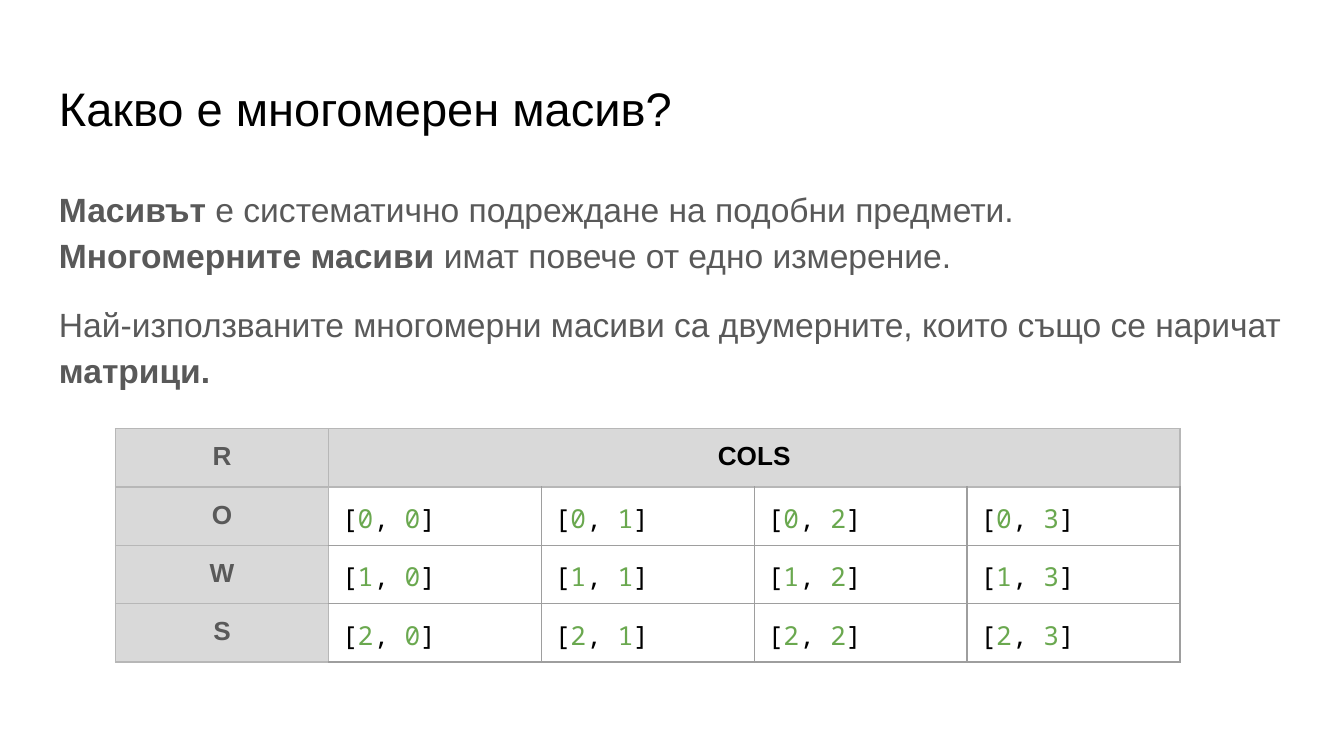
"""Build a slide that explains multidimensional arrays with a matrix of indices."""
from lxml import etree
from pptx import Presentation
from pptx.dml.color import RGBColor
from pptx.enum.text import PP_ALIGN
from pptx.oxml.ns import qn
from pptx.util import Inches, Pt

CENTER = PP_ALIGN.CENTER
SANS, MONO = "Arial", "Noto Sans Mono"
COLORS = {"black": "000000", "gray": "595959", "green": "6AA84F",
          "header": "D9D9D9", "header_line": "B7B7B7", "line": "9E9E9E"}

TITLE = "Какво е многомерен масив?"
BODY = [
    [[("Масивът", True), (" е систематично подреждане на подобни предмети.", False)],
     [("Многомерните масиви", True), (" имат повече от едно измерение.", False)]],
    [[("Най-използваните многомерни масиви са двумерните, които също се наричат ", False),
      ("матрици.", True)]],
]
ROW_LABELS = "ROWS"
COLUMN_LABEL = "COLS"
COLUMN_COUNT = 4

LEFT, WIDTH = 0.34, 9.32
TABLE_LEFT, TABLE_TOP, TABLE_WIDTH = 0.86, 3.19, 7.92
FRAME_SIDE = 3.28
ROW_HEIGHT = 0.42
MARGIN = 0.1


def add_span(para, text, size, color, font=SANS, bold=False):
    span = para.add_run()
    span.text = text
    span.font.size = Pt(size)
    span.font.name = font
    span.font.bold = bold
    span.font.color.rgb = RGBColor.from_string(COLORS[color])


def set_margins(target):
    for side in ("left", "top", "right", "bottom"):
        setattr(target, f"margin_{side}", Inches(MARGIN))


def add_text_frame(page, top, height):
    box = page.shapes.add_textbox(Inches(LEFT), Inches(top), Inches(WIDTH), Inches(height))
    frame = box.text_frame
    frame.word_wrap = True
    set_margins(frame)
    return frame


def set_borders(cell, colors):
    properties = cell._tc.get_or_add_tcPr()
    for side, color in zip("LRTB", colors):
        line = etree.SubElement(properties, qn(f"a:ln{side}"), w=str(Pt(0.75)))
        fill = etree.SubElement(line, qn("a:solidFill"))
        etree.SubElement(fill, qn("a:srgbClr"), val=COLORS[color])


def add_body(page):
    frame = add_text_frame(page, 1.26, 3.74)
    for index, lines in enumerate(BODY):
        para = frame.add_paragraph() if index else frame.paragraphs[0]
        para.line_spacing = 1.15
        if index:
            para.space_before = para.space_after = Pt(12)
        for number, line in enumerate(lines):
            if number:
                para.add_line_break()
            for text, bold in line:
                add_span(para, text, 18, "gray", bold=bold)


def fill_cell(cell, row, column):
    is_header = row == 0 or column == 0
    set_margins(cell)
    para = cell.text_frame.paragraphs[0]
    if is_header:
        set_borders(cell, ["header_line"] * 4)
        cell.fill.solid()
        cell.fill.fore_color.rgb = RGBColor.from_string(COLORS["header"])
        para.alignment = CENTER
        if column == 0:
            add_span(para, ROW_LABELS[row], 14, "gray", bold=True)
        elif column == 1:
            add_span(para, COLUMN_LABEL, 14, "black", bold=True)
        return
    left = "header_line" if column == 1 else "line"
    top = "header_line" if row == 1 else "line"
    set_borders(cell, [left, "line", top, "line"])
    cell.fill.background()
    for text in ("[", str(row - 1), ", ", str(column - 1), "]"):
        add_span(para, text, 14, "green" if text.isdigit() else "black", MONO)


def add_matrix(page):
    rows, columns = len(ROW_LABELS), COLUMN_COUNT + 1
    frame = page.shapes.add_table(
        rows, columns, Inches(TABLE_LEFT), Inches(TABLE_TOP),
        Inches(FRAME_SIDE), Inches(FRAME_SIDE))
    table = frame.table
    table.first_row = table.horz_banding = False
    for column in table.columns:
        column.width = Inches(TABLE_WIDTH / columns)
    for row in table.rows:
        row.height = Inches(ROW_HEIGHT)
    frame.width = frame.height = Inches(FRAME_SIDE)
    table.cell(0, 1).merge(table.cell(0, COLUMN_COUNT))
    for row in range(rows):
        for column in range(columns):
            fill_cell(table.cell(row, column), row, column)


def main():
    deck = Presentation()
    deck.slide_width = Inches(10)
    deck.slide_height = deck.slide_width * 9 // 16
    page = deck.slides.add_slide(deck.slide_layouts[6])
    title = add_text_frame(page, 0.49, 0.63)
    add_span(title.paragraphs[0], TITLE, 25.2, "black")
    add_body(page)
    add_matrix(page)
    deck.save("out.pptx")


if __name__ == "__main__":
    main()
